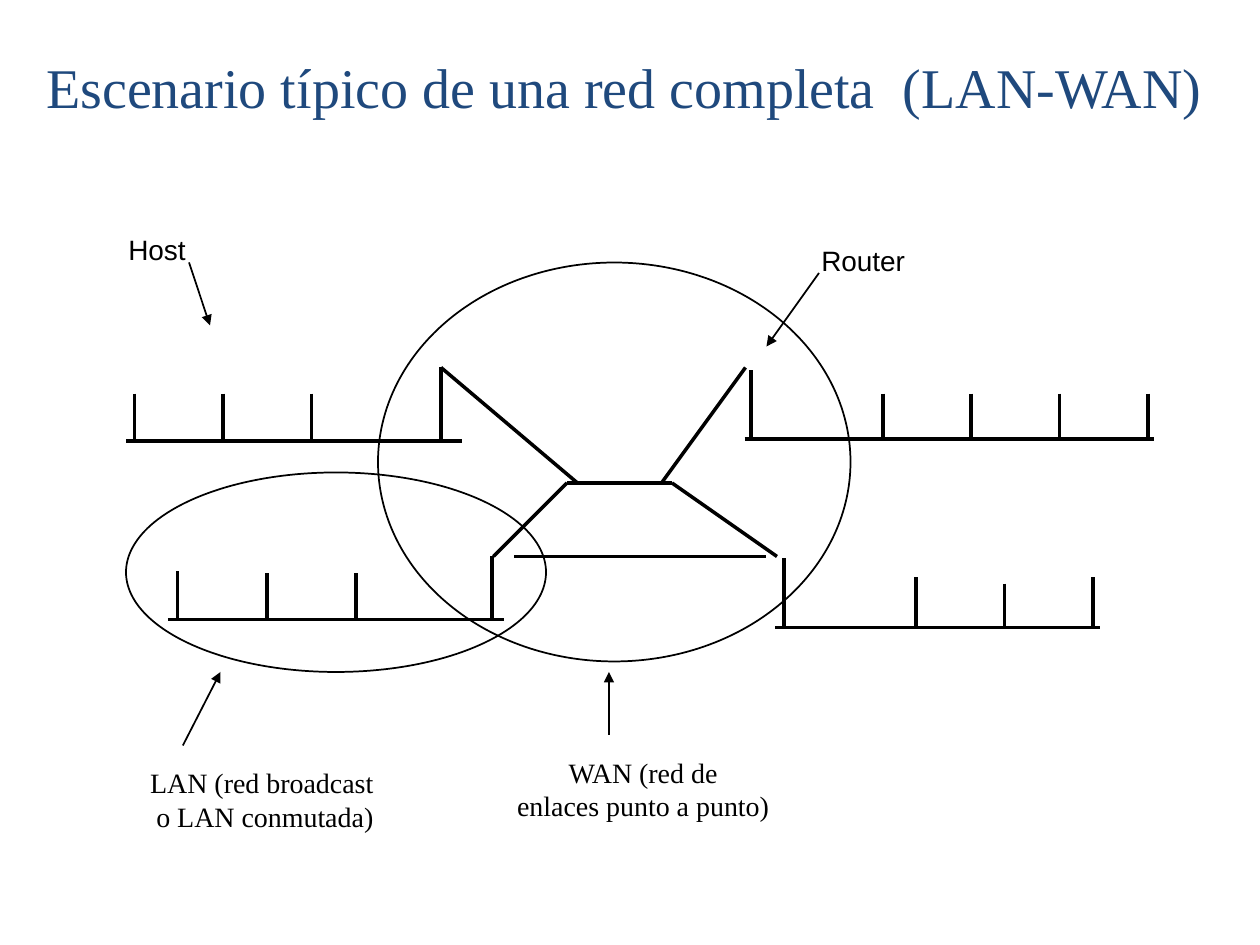
from lxml.etree import SubElement
from pptx import Presentation
from pptx.dml.color import RGBColor
from pptx.enum.shapes import MSO_CONNECTOR, MSO_SHAPE
from pptx.enum.text import MSO_ANCHOR, MSO_AUTO_SIZE, PP_ALIGN
from pptx.oxml.ns import qn
from pptx.util import Pt

BLACK = RGBColor(0x00, 0x00, 0x00)
NAVY = RGBColor(0x1F, 0x49, 0x7D)
SERIF = "Times New Roman"
SANS = "Arial"

deck = Presentation()
deck.slide_width, deck.slide_height = Pt(720), Pt(540)
slide = deck.slides.add_slide(deck.slide_layouts[5])


def draw_line(x1, y1, x2, y2, weight=2, arrow=False):
    line = slide.shapes.add_connector(
        MSO_CONNECTOR.STRAIGHT, Pt(x1), Pt(y1), Pt(x2), Pt(y2))
    line.line.color.rgb = BLACK
    line.line.width = Pt(weight)
    properties = line._element.spPr
    if arrow:
        SubElement(properties.find(qn("a:ln")), qn("a:tailEnd"), type="triangle")
    SubElement(properties, qn("a:effectLst"))


def write_text(box, lines, size, font, color, align):
    frame = box.text_frame
    frame.word_wrap = False
    frame.auto_size = MSO_AUTO_SIZE.NONE
    frame.vertical_anchor = MSO_ANCHOR.TOP
    for index, words in enumerate(lines):
        para = frame.add_paragraph() if index else frame.paragraphs[0]
        para.alignment = align
        span = para.add_run()
        span.text = words
        span.font.size = Pt(size)
        span.font.name = font
        span.font.color.rgb = color


# Title
title = slide.shapes.title
title.left, title.top, title.width, title.height = Pt(16.5), Pt(26.5), Pt(681), Pt(46)
write_text(title, ["Escenario típico de una red completa  (LAN-WAN)"],
           32, SERIF, NAVY, PP_ALIGN.CENTER)

# Point-to-point links of the WAN
for link in [
    (294, 318, 438, 318),
    (252, 210, 330, 276),
    (426, 210, 378, 276),
    (384, 276, 444, 318),
    (324, 276, 384, 276),
    (324, 276, 282, 318),
]:
    draw_line(*link)

# LANs: bus, router drop, and evenly spaced host drops
# (bus left, bus right, bus y, router x, router top, first host x, gap, host tops)
lans = [
    (72, 264, 252, 252, 210, 77, 50.5, (225, 225, 225)),
    (96, 288, 354, 281, 318, 101.5, 51, (326.5, 327.5, 327.5)),
    (425.5, 659.5, 251, 429, 211.5, 504.5, 50.5, (225, 225, 225, 225)),
    (443, 628.5, 358.5, 448, 319, 523.5, 50.5, (330, 333.5, 330)),
]
for left, right, bus_y, router_x, router_top, host_x, gap, host_tops in lans:
    draw_line(left, bus_y, right, bus_y)
    draw_line(router_x, router_top, router_x, bus_y)
    for index, host_top in enumerate(host_tops):
        x = host_x + index * gap
        draw_line(x, host_top, x, bus_y)

# Ellipses around the WAN and one LAN
for left, top, width, height in [(216, 150, 270, 228), (72, 270, 240, 114)]:
    area = slide.shapes.add_shape(
        MSO_SHAPE.OVAL, Pt(left), Pt(top), Pt(width), Pt(height))
    area.shadow.inherit = False
    area.fill.background()
    area.line.color.rgb = BLACK
    area.line.width = Pt(1)

# Labels, each with its arrow
labels = [
    (["Host"], SANS, PP_ALIGN.CENTER, (66, 129.5, 47.5, 26.5), (108, 150, 120, 186)),
    (["Router"], SANS, PP_ALIGN.CENTER, (462, 135.5, 62.5, 26.5), (468, 156, 438, 198)),
    (["LAN (red broadcast", "o LAN conmutada)"], SERIF, PP_ALIGN.RIGHT,
     (78, 434, 142.5, 46), (104.5, 426, 126, 384)),
    (["WAN (red de", "enlaces punto a punto)"], SERIF, PP_ALIGN.CENTER,
     (288, 428, 159, 46), (348, 420, 348, 384)),
]
for lines, font, align, place, arrow in labels:
    box = slide.shapes.add_textbox(*[Pt(length) for length in place])
    write_text(box, lines, 16, font, BLACK, align)
    draw_line(*arrow, weight=1, arrow=True)

deck.save("out.pptx")
